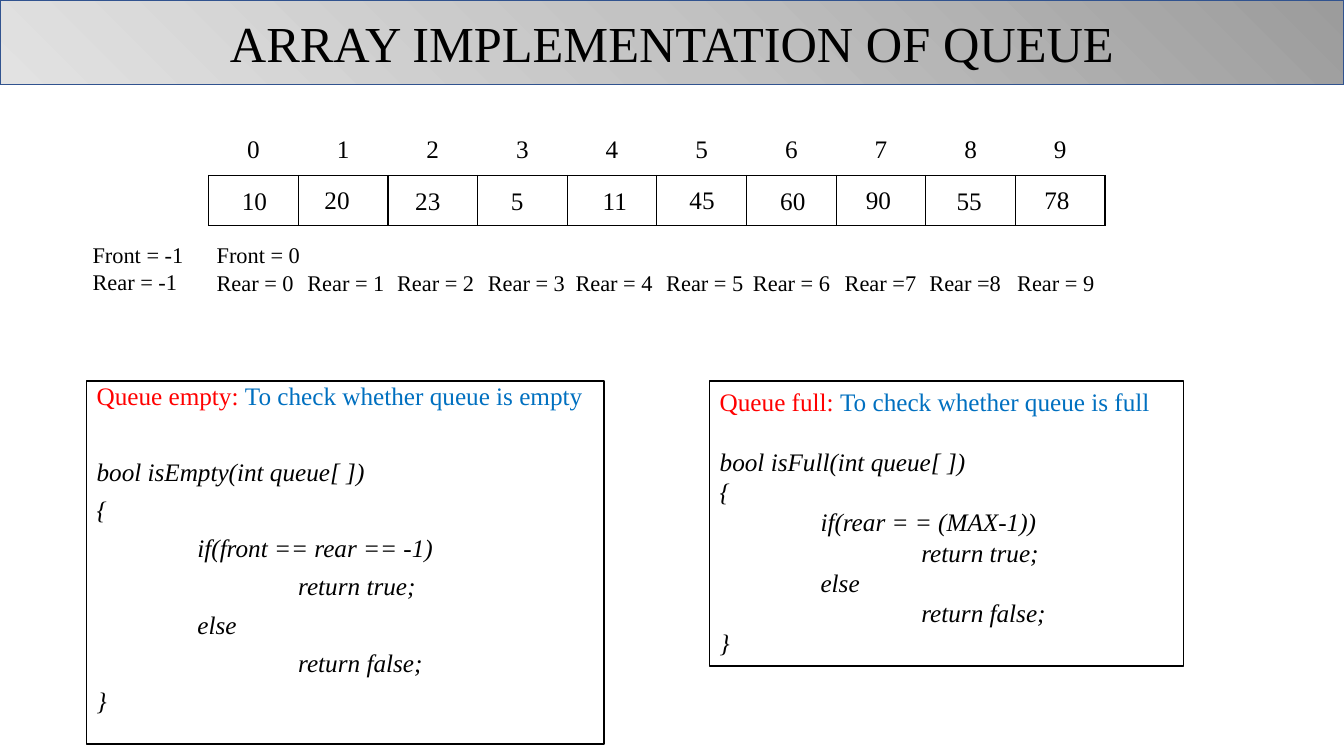
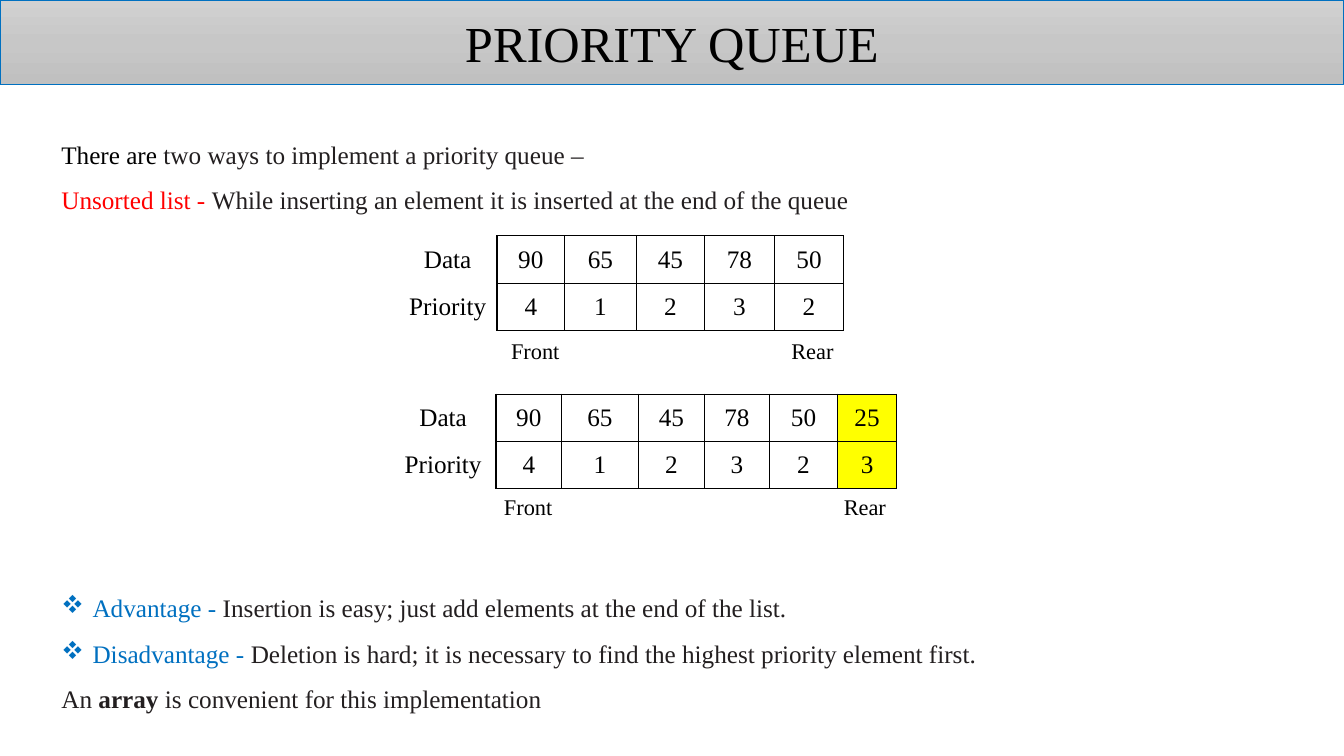
import pptx
import pptx.dml.color
import pptx.enum.shapes
import pptx.enum.text
import pptx.oxml
import pptx.oxml.ns
import pptx.util
from pptx.util import Inches, Pt

RGB = pptx.dml.color.RGBColor
BLACK = RGB(0, 0, 0)
WHITE = RGB(255, 255, 255)
RED = RGB(255, 0, 0)
BLUE = RGB(0x00, 0x70, 0xC0)
NAVY = RGB(0x31, 0x53, 0x8F)
INK = RGB(0x23, 0x1F, 0x20)
YELLOW = RGB(255, 255, 0)
FONT = "Times New Roman"
NO_GRID_STYLE = "{2D5ABB26-0587-4C30-8999-92F81FD0307C}"
ALIGN = pptx.enum.text.PP_ALIGN
ANCHOR = pptx.enum.text.MSO_ANCHOR
SLIDE_WIDTH, SLIDE_HEIGHT = 13.33, 7.5

# Title bands: title, gradient colours, gradient angle, line colour, line width
ARRAY_BAND = ("ARRAY IMPLEMENTATION OF QUEUE", ("9C9C9C", "C3C3C3", "E2E2E2"), 135, NAVY, 1)
PRIORITY_BAND = ("PRIORITY QUEUE", ("D1D1D1", "C7C7C7", "C0C0C0"), 90, BLUE, 0.75)

# Queue steps: value, value left, value top, rear label, rear label left
QUEUE_STEPS = [
    ("10", 2.3, 1.79, "Rear = 0", 2.05),
    ("20", 3.12, 1.78, "Rear = 1", 2.95),
    ("23", 4.02, 1.79, "Rear = 2", 3.84),
    ("5", 4.97, 1.79, "Rear = 3", 4.74),
    ("11", 5.88, 1.79, "Rear = 4", 5.61),
    ("45", 6.74, 1.78, "Rear = 5", 6.51),
    ("60", 7.64, 1.79, "Rear = 6", 7.37),
    ("90", 8.49, 1.78, "Rear =7", 8.28),
    ("55", 9.39, 1.79, "Rear =8", 9.12),
    ("78", 10.26, 1.78, "Rear = 9", 9.99),
]
ARRAY_WIDTH = 8.89

# Code panels: heading, purpose, signature, condition, box, line spacing, space before, gap
CODE_PANELS = [
    ("Queue empty: ", "To check whether queue is empty", "bool isEmpty(int queue[ ])",
     "if(front == rear == -1)", (0.86, 3.78, 5.13, 3.6), 0.8, 10, 37),
    ("Queue full: ", "To check whether queue is full", "bool isFull(int queue[ ])",
     "if(rear = = (MAX-1))", (7.04, 3.78, 4.7, 2.83), 1.0, 0, 21.5),
]

INTRO = [
    [("There are ", BLACK), ("two ways to implement a priority queue –", INK)],
    [("Unsorted list - ", RED),
     ("While inserting an element it is inserted at the end of the queue", INK)],
]
VERDICTS = [
    [("Advantage - ", BLUE),
     ("Insertion is easy; just add elements at the end of the list.", INK)],
    [("Disadvantage - ", BLUE),
     ("Deletion is hard; it is necessary to find the highest priority element first.", INK)],
]
CONCLUSION = [("An ", INK), ("array", INK, True), (" is convenient for this implementation", INK)]

# Priority tables: left, top, column widths, data, priorities, inserted column,
# front label left, rear label left, label top
PRIORITY_TABLES = [
    (3.95, 2.34, [0.98, 0.67, 0.71, 0.68, 0.69, 0.69],
     [90, 65, 45, 78, 50], [4, 1, 2, 3, 2], None, 4.97, 7.75, 3.3),
    (3.87, 3.91, [1.05, 0.65, 0.76, 0.66, 0.64, 0.68, 0.58],
     [90, 65, 45, 78, 50, 25], [4, 1, 2, 3, 2, 3], 6, 4.9, 8.27, 4.84),
]


def inches(*lengths):
    return [Inches(length) for length in lengths]


def write(frame, runs, size=18, italic=None, align=None, spacing=None, before=None, indent=0):
    """Fill the frame's first empty paragraph, or a new one, with (text, colour[, bold]) runs."""
    paragraph = frame.paragraphs[0]
    if paragraph.runs:
        paragraph = frame.add_paragraph()
    paragraph.font.name, paragraph.font.size = FONT, Pt(size)
    paragraph.font.italic = italic
    paragraph.alignment = align
    paragraph.line_spacing = spacing
    if before is not None:
        paragraph.space_before = Pt(before)
    if indent:
        paragraph._p.get_or_add_pPr().set("marL", str(Inches(indent)))
    for text, colour, *bold in runs:
        run = paragraph.add_run()
        run.text = text
        run.font.color.rgb = colour
        if bold:
            run.font.bold = bold[0]
    return paragraph


def add_bullet(paragraph, hanging):
    """Give the paragraph a blue diamond, which is the letter v in Wingdings."""
    properties = paragraph._p.get_or_add_pPr()
    properties.set("marL", str(Inches(hanging)))
    properties.set("indent", str(-Inches(hanging)))
    namespace = pptx.oxml.ns.nsdecls("a")
    default_font = properties.find(pptx.oxml.ns.qn("a:defRPr"))
    for xml in (f'<a:buClr {namespace}><a:srgbClr val="{BLUE}"/></a:buClr>',
                f'<a:buFont {namespace} typeface="Wingdings" pitchFamily="2" charset="2"/>',
                f'<a:buChar {namespace} char="v"/>'):
        default_font.addprevious(pptx.oxml.parse_xml(xml))


def add_text(slide, box):
    frame = slide.shapes.add_textbox(*inches(*box)).text_frame
    frame.word_wrap = True
    return frame


def add_labels(slide, box, *lines, size=16):
    frame = add_text(slide, box)
    for line in lines:
        write(frame, [(line, BLACK)], size=size)


def add_titled_slide(deck, band):
    title_text, colours, angle, line_colour, line_width = band
    slide = deck.slides.add_slide(deck.slide_layouts[5])
    title = slide.shapes.title
    title.left, title.top, title.width, title.height = inches(0, 0, SLIDE_WIDTH, 0.84)
    title.line.color.rgb, title.line.width = line_colour, Pt(line_width)
    title.fill.gradient()
    stops = "".join(f'<a:gs pos="{i * 50000}"><a:srgbClr val="{colour}"/></a:gs>'
                    for i, colour in enumerate(colours))
    gradient = pptx.oxml.parse_xml(
        f'<a:gradFill {pptx.oxml.ns.nsdecls("a")} rotWithShape="1"><a:gsLst>{stops}</a:gsLst>'
        f'<a:lin ang="{angle * 60000}" scaled="1"/></a:gradFill>')
    properties = title._element.spPr
    properties.replace(properties.find(pptx.oxml.ns.qn("a:gradFill")), gradient)
    frame = title.text_frame
    frame.auto_size = pptx.enum.text.MSO_AUTO_SIZE.NONE
    frame.vertical_anchor = ANCHOR.MIDDLE
    write(frame, [(title_text, BLACK)], size=36, align=ALIGN.CENTER)
    return slide


def add_borders(cell, sides):
    for side in sides:
        cell._tc.get_or_add_tcPr().append(pptx.oxml.parse_xml(
            f'<a:ln{side} {pptx.oxml.ns.nsdecls("a")} w="{Pt(1)}"><a:solidFill>'
            f'<a:srgbClr val="{BLACK}"/></a:solidFill></a:ln{side}>'))


def add_grid(slide, left, top, widths, row_height, rows, sides_of, filled_column=None):
    """Draw a plain table; sides_of(row, column) names the borders of a cell, in L R T B order."""
    box = inches(left, top, sum(widths), row_height * len(rows))
    table = slide.shapes.add_table(len(rows), len(widths), *box).table
    table.first_row = table.horz_banding = False
    table._tbl.tblPr.find(pptx.oxml.ns.qn("a:tableStyleId")).text = NO_GRID_STYLE
    for column, width in zip(table.columns, widths):
        column.width = Inches(width)
    for r, values in enumerate(rows):
        table.rows[r].height = Inches(row_height)
        for c, value in enumerate(values):
            cell = table.cell(r, c)
            cell.vertical_anchor = ANCHOR.MIDDLE
            if value is not None:
                write(cell.text_frame, [(str(value), BLACK)], align=ALIGN.CENTER)
            add_borders(cell, sides_of(r, c))
            if c == filled_column:
                cell.fill.solid()
                cell.fill.fore_color.rgb = YELLOW
            else:
                cell.fill.background()


def add_code_panel(slide, heading, purpose, signature, condition, box, spacing, before, gap):
    panel = slide.shapes.add_shape(pptx.enum.shapes.MSO_SHAPE.RECTANGLE, *inches(*box))
    panel.shadow.inherit = False
    panel.fill.solid()
    panel.fill.fore_color.rgb = WHITE
    panel.line.color.rgb, panel.line.width = BLACK, Pt(1)
    frame = panel.text_frame
    frame.vertical_anchor = ANCHOR.TOP
    write(frame, [(heading, RED), (purpose, BLUE)], align=ALIGN.LEFT, spacing=spacing)
    code = [(signature, 0), ("{", 0), (condition, 1), ("return true;", 2),
            ("else", 1), ("return false;", 2), ("}", 0)]
    for i, (line, level) in enumerate(code):
        write(frame, [(line, BLACK)], italic=True, align=ALIGN.LEFT, spacing=spacing,
              before=before if i else gap, indent=level)


def build_array_slide(deck):
    slide = add_titled_slide(deck, ARRAY_BAND)
    count = len(QUEUE_STEPS)
    add_grid(slide, 2.07, 1.24, [ARRAY_WIDTH / count] * count, 0.5,
             [range(count), [None] * count],
             lambda row, column: "LRTB" if row else "B")
    add_labels(slide, (0.82, 2.34, 1.24, 0.64), "Front = -1", "Rear = -1")
    add_labels(slide, (2.05, 2.34, 1.24, 0.37), "Front = 0")
    for value, value_left, value_top, rear, rear_left in QUEUE_STEPS:
        add_labels(slide, (value_left, value_top, 0.46, 0.4), value, size=18)
        add_labels(slide, (rear_left, 2.62, 1, 0.37), rear)
    for panel in CODE_PANELS:
        add_code_panel(slide, *panel)


def build_priority_slide(deck):
    slide = add_titled_slide(deck, PRIORITY_BAND)
    intro = add_text(slide, (0.51, 1.18, 12.31, 1))
    for runs in INTRO:
        write(intro, runs, spacing=1.5)
    for left, top, widths, data, priorities, inserted, front, rear, label_top in PRIORITY_TABLES:
        add_grid(slide, left, top, widths, 0.47, [["Data", *data], ["Priority", *priorities]],
                 lambda row, column: "LRTB" if column else "R", inserted)
        add_labels(slide, (front, label_top, 0.78, 0.37), "Front")
        add_labels(slide, (rear, label_top, 0.62, 0.37), "Rear")
    closing = add_text(slide, (0.51, 5.68, 12.31, 1.45))
    for runs in VERDICTS:
        add_bullet(write(closing, runs, spacing=1.5), 0.31)
    write(closing, CONCLUSION, spacing=1.5)


def main():
    deck = pptx.Presentation()
    deck.slide_width, deck.slide_height = inches(SLIDE_WIDTH, SLIDE_HEIGHT)
    build_array_slide(deck)
    build_priority_slide(deck)
    deck.save("out.pptx")


if __name__ == "__main__":
    main()
